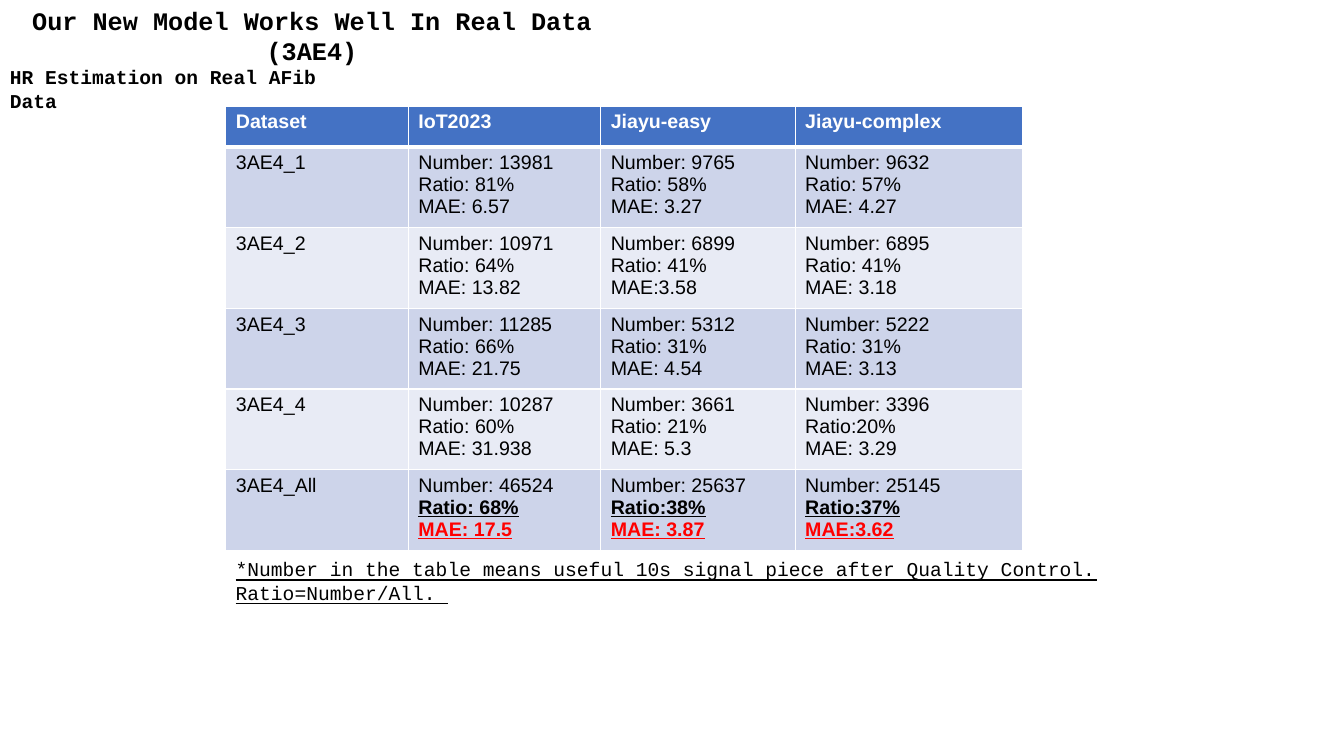
from dataclasses import dataclass

from lxml import etree
from pptx import Presentation
from pptx.dml.color import RGBColor
from pptx.enum.text import MSO_ANCHOR, MSO_AUTO_SIZE, PP_ALIGN
from pptx.oxml.ns import qn
from pptx.util import Cm, Pt

TOP = MSO_ANCHOR.TOP
GROW = MSO_AUTO_SIZE.SHAPE_TO_FIT_TEXT
LEFT = PP_ALIGN.LEFT
CENTER = PP_ALIGN.CENTER
TITLE_ONLY = 5


@dataclass(frozen=True)
class Theme:
    mono: str = "Courier New"
    sans: str = "Arial"
    title_size: int = 18
    body_size: int = 14
    ink: str = "000000"
    white: str = "FFFFFF"
    accent: str = "FF0000"
    header: str = "4472C4"
    bands: tuple = ("CDD4EA", "E8EBF5")
    rule: float = 1
    header_rule: float = 3


THEME = Theme()

COLUMN_WIDTHS = (4.6, 4.85, 4.9, 5.72)
HEADER_HEIGHT = 1.03
ROW_HEIGHT = 2.03
HEADINGS = ("Dataset", "IoT2023", "Jiayu-easy", "Jiayu-complex")
RESULTS = (
    ("3AE4_1",
     ("Number: 13981", "Ratio: 81%", "MAE: 6.57"),
     ("Number: 9765", "Ratio: 58%", "MAE: 3.27"),
     ("Number: 9632", "Ratio: 57%", "MAE: 4.27")),
    ("3AE4_2",
     ("Number: 10971", "Ratio: 64%", "MAE: 13.82"),
     ("Number: 6899", "Ratio: 41%", "MAE:3.58"),
     ("Number: 6895", "Ratio: 41%", "MAE: 3.18")),
    ("3AE4_3",
     ("Number: 11285", "Ratio: 66%", "MAE: 21.75"),
     ("Number: 5312", "Ratio: 31%", "MAE: 4.54"),
     ("Number: 5222", "Ratio: 31%", "MAE: 3.13")),
    ("3AE4_4",
     ("Number: 10287", "Ratio: 60%", "MAE: 31.938"),
     ("Number: 3661", "Ratio: 21%", "MAE: 5.3"),
     ("Number: 3396", "Ratio:20%", "MAE: 3.29")),
    ("3AE4_All",
     ("Number: 46524", "Ratio: 68%", "MAE: 17.5"),
     ("Number: 25637", "Ratio:38%", "MAE: 3.87"),
     ("Number: 25145", "Ratio:37%", "MAE:3.62")),
)


def add_run(paragraph, text, font, size=THEME.body_size, color=THEME.ink,
            bold=False, underline=False):
    run = paragraph.add_run()
    run.text = text
    run.font.name = font
    run.font.size = Pt(size)
    run.font.color.rgb = RGBColor.from_string(color)
    run.font.bold = bold
    run.font.underline = underline


def prepare_frame(shape, alignment):
    frame = shape.text_frame
    frame.word_wrap = True
    frame.auto_size = GROW
    frame.vertical_anchor = TOP
    paragraph = frame.paragraphs[0]
    paragraph.alignment = alignment
    return paragraph


def place_title(slide, box, text):
    title = slide.shapes.title
    title.left, title.top, title.width, title.height = map(Cm, box)
    paragraph = prepare_frame(title, CENTER)
    add_run(paragraph, text, THEME.mono, THEME.title_size, bold=True)


def add_caption(slide, box, text, **style):
    caption = slide.shapes.add_textbox(*map(Cm, box))
    add_run(prepare_frame(caption, LEFT), text, THEME.mono, **style)


def set_borders(cell, bottom):
    properties = cell._tc.get_or_add_tcPr()
    for side in ("L", "R", "T", "B"):
        width = bottom if side == "B" else THEME.rule
        line = etree.SubElement(properties, qn(f"a:ln{side}"), w=str(Pt(width)))
        fill = etree.SubElement(line, qn("a:solidFill"))
        etree.SubElement(fill, qn("a:srgbClr"), val=THEME.white)


def fill_cell(cell, lines, fill, styles, bottom=THEME.rule):
    set_borders(cell, bottom)
    cell.fill.solid()
    cell.fill.fore_color.rgb = RGBColor.from_string(fill)
    frame = cell.text_frame
    for index, (line, style) in enumerate(zip(lines, styles)):
        paragraph = frame.add_paragraph() if index else frame.paragraphs[0]
        add_run(paragraph, line, THEME.sans, **style)


def add_results_table(slide, left, top):
    height = HEADER_HEIGHT + ROW_HEIGHT * len(RESULTS)
    table = slide.shapes.add_table(
        len(RESULTS) + 1, len(HEADINGS),
        Cm(left), Cm(top), Cm(sum(COLUMN_WIDTHS)), Cm(height)).table
    for column, width in zip(table.columns, COLUMN_WIDTHS):
        column.width = Cm(width)
    for index, row in enumerate(table.rows):
        row.height = Cm(ROW_HEIGHT if index else HEADER_HEIGHT)

    heading_style = {"color": THEME.white, "bold": True}
    for cell, heading in zip(table.rows[0].cells, HEADINGS):
        fill_cell(cell, (heading,), THEME.header, (heading_style,),
                  THEME.header_rule)

    plain = ({}, {}, {})
    strong = {"bold": True, "underline": True}
    total = ({}, strong, {**strong, "color": THEME.accent})
    for index, (dataset, *scores) in enumerate(RESULTS):
        band = THEME.bands[index % len(THEME.bands)]
        styles = total if index == len(RESULTS) - 1 else plain
        cells = table.rows[index + 1].cells
        for cell, lines in zip(cells, ((dataset,), *scores)):
            fill_cell(cell, lines, band, styles)


def build_results_slide(presentation):
    slide = presentation.slides.add_slide(presentation.slide_layouts[TITLE_ONLY])
    place_title(slide, (0, 0, 15.72, 1.02),
                "Our New Model Works Well In Real Data (3AE4)")
    add_results_table(slide, 5.69, 2.67)
    add_caption(slide, (0, 1.52, 9.42, 0.86),
                "HR Estimation on Real AFib Data", bold=True)
    add_caption(slide, (5.69, 13.92, 27.08, 0.86),
                "*Number in the table means useful 10s signal piece after "
                "Quality Control. Ratio=Number/All. ", underline=True)


def main():
    presentation = Presentation()
    presentation.slide_width = Cm(33.87)
    presentation.slide_height = Cm(19.05)
    build_results_slide(presentation)
    presentation.save("out.pptx")


if __name__ == "__main__":
    main()
